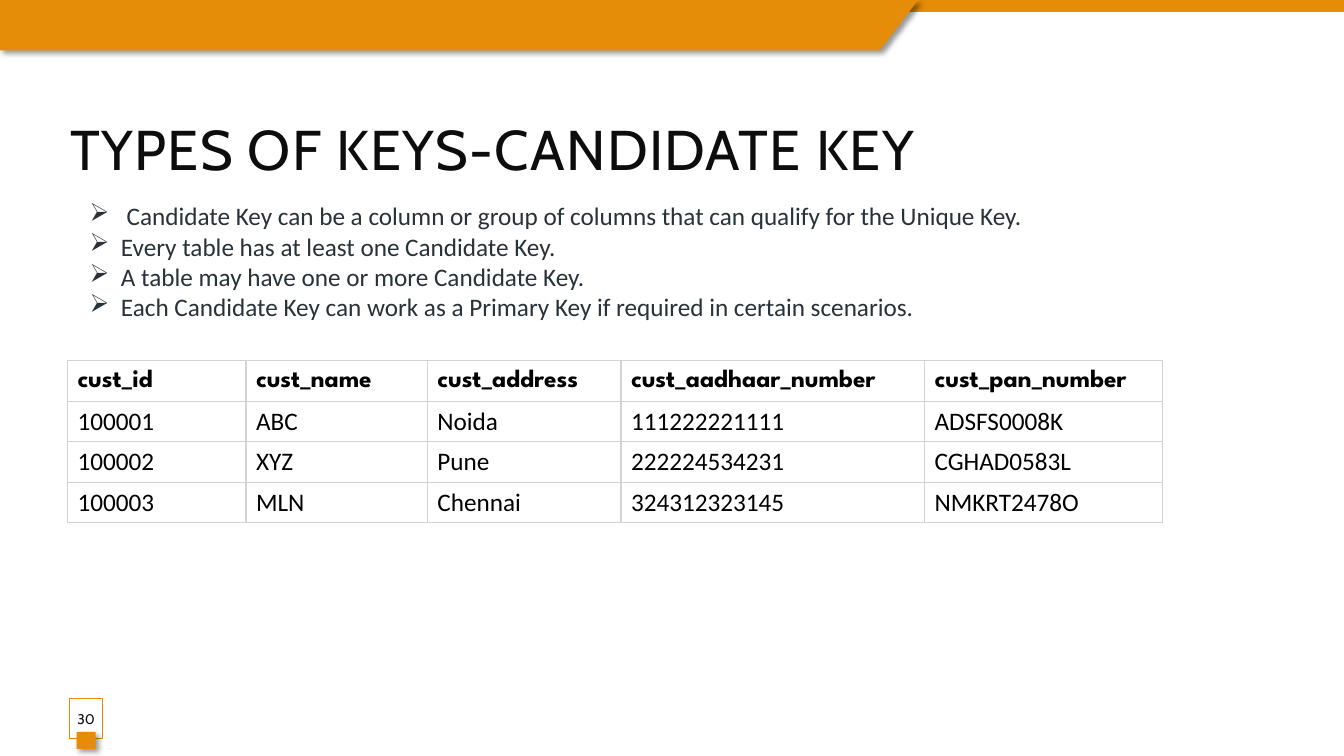
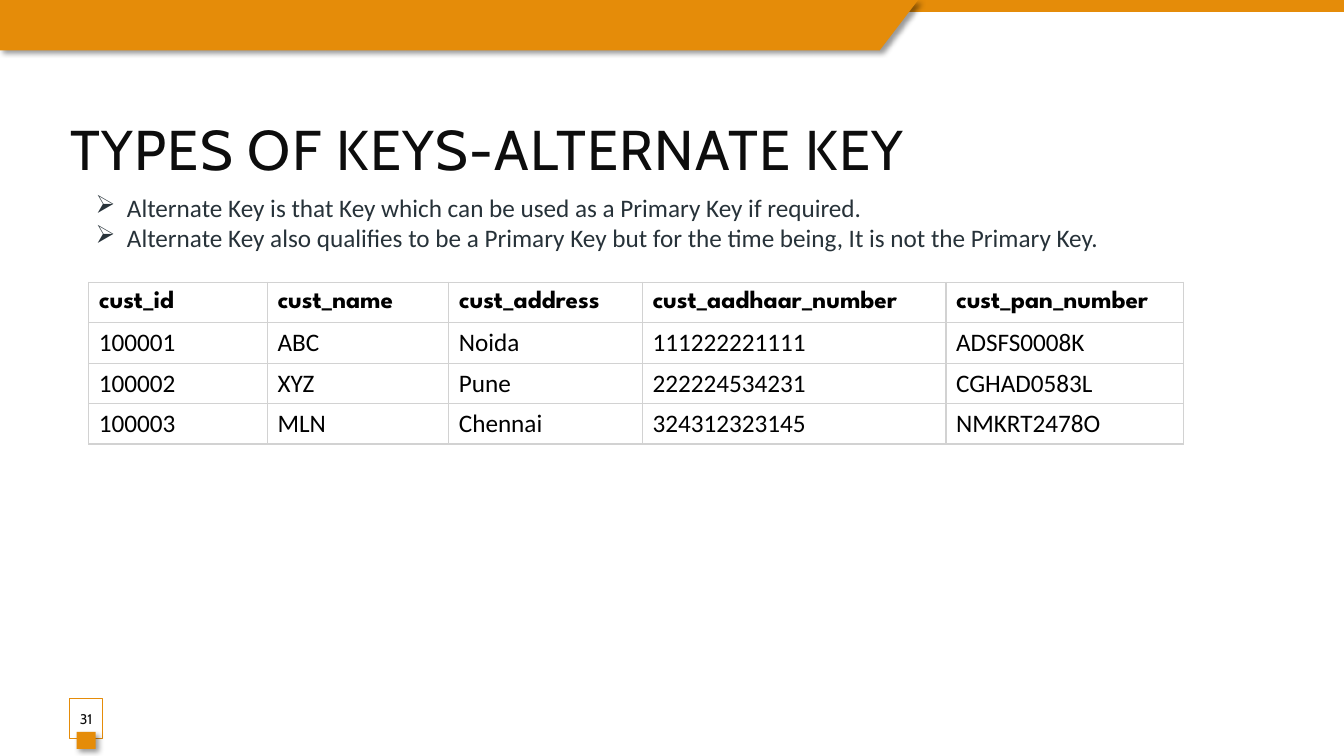
from dataclasses import dataclass
from typing import Any, NamedTuple

from lxml import etree
from pptx import Presentation, util as u
from pptx.dml import color
from pptx.enum import shapes, text
from pptx.oxml import ns


@dataclass(frozen=True)
class TextStyle:
    name: str
    size: float
    rgb: str
    bold: bool = False


@dataclass(frozen=True)
class Theme:
    accent: str = "E58C09"
    paper: str = "FFFFFF"
    border: str = "D2D2D2"
    shadow: str = "000000"
    title: TextStyle = TextStyle("Cabin", 40, "0D0D0D")
    number: TextStyle = TextStyle("Cabin", 10, "0D0D0D")
    bullet: TextStyle = TextStyle("Calibri", 18, "273239")
    header: TextStyle = TextStyle("League Spartan", 18, "000000", True)
    cell: TextStyle = TextStyle("Calibri", 18, "000000")


class Box(NamedTuple):
    left: float
    top: float
    width: float
    height: float

    def lengths(self) -> list[u.Cm]:
        return [u.Cm(value) for value in self]


@dataclass(frozen=True)
class KeySlide:
    number: int
    title: str
    bullets: tuple[str, ...]
    bullet_box: Box
    table_left: float
    table_top: float


THEME = Theme()
SLIDE_WIDTH, SLIDE_HEIGHT = 33.87, 19.05
TOP_STRIP = Box(0, 0, SLIDE_WIDTH, 0.3)
BANNER_POINTS = ((0, 0), (23.14, 0), (22.17, 1.27), (0, 1.27))
TITLE_BOX = Box(1.52, 2.74, 30.02, 1.96)
NUMBER_BOX = Box(1.75, 17.6, 0.84, 1.02)
NUMBER_TAB = Box(1.93, 18.44, 0.48, 0.43)
BULLET_INDENT = 0.79
COLUMN_WIDTHS = (4.5, 4.57, 4.88, 7.65, 5.99)
ROW_HEIGHT = 1.02
CUSTOMERS = (
    ("cust_id", "cust_name", "cust_address", "cust_aadhaar_number", "cust_pan_number"),
    ("100001", "ABC", "Noida", "111222221111", "ADSFS0008K"),
    ("100002", "XYZ", "Pune", "222224534231", "CGHAD0583L"),
    ("100003", "MLN", "Chennai", "324312323145", "NMKRT2478O"),
)
KEY_SLIDES = (
    KeySlide(
        30,
        "TYPES OF KEYS-CANDIDATE KEY",
        (
            " Candidate Key can be a column or group of columns that can qualify for the Unique Key.",
            "Every table has at least one Candidate Key.",
            "A table may have one or more Candidate Key.",
            "Each Candidate Key can work as a Primary Key if required in certain scenarios.",
        ),
        Box(2.01, 4.93, 27.99, 3.33),
        1.7,
        9.09,
    ),
    KeySlide(
        31,
        "TYPES OF KEYS-ALTERNATE KEY",
        (
            "Alternate Key is that Key which can be used as a Primary Key if required.",
            "Alternate Key also qualifies to be a Primary Key but for the time being, It is not the Primary Key.",
        ),
        Box(2.16, 4.72, 27.99, 1.8),
        2.24,
        7.11,
    ),
)


def apply_format(target: Any, values: dict[str, Any]) -> None:
    for name, value in values.items():
        setattr(target, name, value)


def add_element(parent: Any, tag: str, **attributes: Any) -> Any:
    values = {name: str(value) for name, value in attributes.items()}
    return etree.SubElement(parent, ns.qn(tag), values)


def fill_solid(fill: Any, rgb: str) -> None:
    fill.solid()
    fill.fore_color.rgb = color.RGBColor.from_string(rgb)


def write_text(paragraph: Any, words: str, style: TextStyle) -> Any:
    run = paragraph.add_run()
    run.text = words
    apply_format(
        run.font,
        {"name": style.name, "size": u.Pt(style.size), "bold": style.bold},
    )
    run.font.color.rgb = color.RGBColor.from_string(style.rgb)
    return run


def style_shape(shape: Any, rgb: str, shadowed: bool = False) -> None:
    fill_solid(shape.fill, rgb)
    shape.line.fill.background()
    shape.shadow.inherit = False
    if shadowed:
        effects = shape._element.spPr.find(ns.qn("a:effectLst"))
        shadow = add_element(
            effects, "a:outerShdw", blurRad=u.Pt(4), dist=u.Pt(3),
            dir=45 * 60000, algn="tl", rotWithShape=0,
        )
        shade = add_element(shadow, "a:srgbClr", val=THEME.shadow)
        add_element(shade, "a:alpha", val=40000)


def add_rectangle(slide: Any, box: Box, rgb: str, shadowed: bool = False) -> Any:
    shape = slide.shapes.add_shape(shapes.MSO_SHAPE.RECTANGLE, *box.lengths())
    style_shape(shape, rgb, shadowed)
    return shape


def add_banner(slide: Any) -> None:
    add_rectangle(slide, TOP_STRIP, THEME.accent)
    start, *corners = [(u.Cm(x), u.Cm(y)) for x, y in BANNER_POINTS]
    builder = slide.shapes.build_freeform(*start)
    builder.add_line_segments(corners, close=True)
    style_shape(builder.convert_to_shape(), THEME.accent, shadowed=True)


def add_text_frame(slide: Any, box: Box) -> Any:
    frame = slide.shapes.add_textbox(*box.lengths()).text_frame
    frame.word_wrap = True
    return frame


def add_title(slide: Any, title: str) -> None:
    frame = add_text_frame(slide, TITLE_BOX)
    frame.vertical_anchor = text.MSO_ANCHOR.MIDDLE
    run = write_text(frame.paragraphs[0], title, THEME.title)
    run.font._element.set("spc", "100")


def add_slide_number(slide: Any, number: int) -> None:
    shape = add_rectangle(slide, NUMBER_BOX, THEME.paper)
    paper = shape._element.spPr.find(f"{ns.qn('a:solidFill')}/{ns.qn('a:srgbClr')}")
    add_element(paper, "a:alpha", val=82000)
    fill_solid(shape.line.fill, THEME.accent)
    shape.line.width = u.Pt(0.75)
    apply_format(
        shape.text_frame,
        {
            "margin_left": 0,
            "margin_right": 0,
            "vertical_anchor": text.MSO_ANCHOR.MIDDLE,
        },
    )
    paragraph = shape.text_frame.paragraphs[0]
    paragraph.alignment = text.PP_ALIGN.CENTER
    write_text(paragraph, str(number), THEME.number)
    add_rectangle(slide, NUMBER_TAB, THEME.accent, shadowed=True)


def add_bullets(slide: Any, box: Box, bullets: tuple[str, ...]) -> None:
    frame = add_text_frame(slide, box)
    for index, bullet in enumerate(bullets):
        paragraph = frame.add_paragraph() if index else frame.paragraphs[0]
        properties = paragraph._p.get_or_add_pPr()
        properties.set("marL", str(u.Cm(BULLET_INDENT)))
        properties.set("indent", str(-u.Cm(BULLET_INDENT)))
        add_element(properties, "a:buChar", char="➢")
        write_text(paragraph, bullet, THEME.bullet)


def add_cell_borders(cell: Any) -> None:
    properties = cell._tc.get_or_add_tcPr()
    for index, side in enumerate(("a:lnL", "a:lnR", "a:lnT", "a:lnB")):
        line = add_element(properties, side, w=u.Pt(1))
        fill = add_element(line, "a:solidFill")
        add_element(fill, "a:srgbClr", val=THEME.border)
        properties.insert(index, line)


def add_customer_table(slide: Any, left: float, top: float) -> None:
    box = Box(left, top, sum(COLUMN_WIDTHS), ROW_HEIGHT * len(CUSTOMERS))
    table = slide.shapes.add_table(
        len(CUSTOMERS), len(COLUMN_WIDTHS), *box.lengths()
    ).table
    apply_format(table, {"first_row": False, "horz_banding": False})
    for column, width in zip(table.columns, COLUMN_WIDTHS):
        column.width = u.Cm(width)
    for row_index, values in enumerate(CUSTOMERS):
        style = THEME.cell if row_index else THEME.header
        for column_index, value in enumerate(values):
            cell = table.cell(row_index, column_index)
            cell.vertical_anchor = text.MSO_ANCHOR.MIDDLE
            fill_solid(cell.fill, THEME.paper)
            add_cell_borders(cell)
            write_text(cell.text_frame.paragraphs[0], value, style)


def add_key_slide(presentation: Any, content: KeySlide) -> None:
    slide = presentation.slides.add_slide(presentation.slide_layouts[6])
    fill_solid(slide.background.fill, THEME.paper)
    add_banner(slide)
    add_title(slide, content.title)
    add_slide_number(slide, content.number)
    add_bullets(slide, content.bullet_box, content.bullets)
    add_customer_table(slide, content.table_left, content.table_top)


def main() -> None:
    presentation = Presentation()
    apply_format(
        presentation,
        {"slide_width": u.Cm(SLIDE_WIDTH), "slide_height": u.Cm(SLIDE_HEIGHT)},
    )
    for content in KEY_SLIDES:
        add_key_slide(presentation, content)
    presentation.save("out.pptx")


if __name__ == "__main__":
    main()
